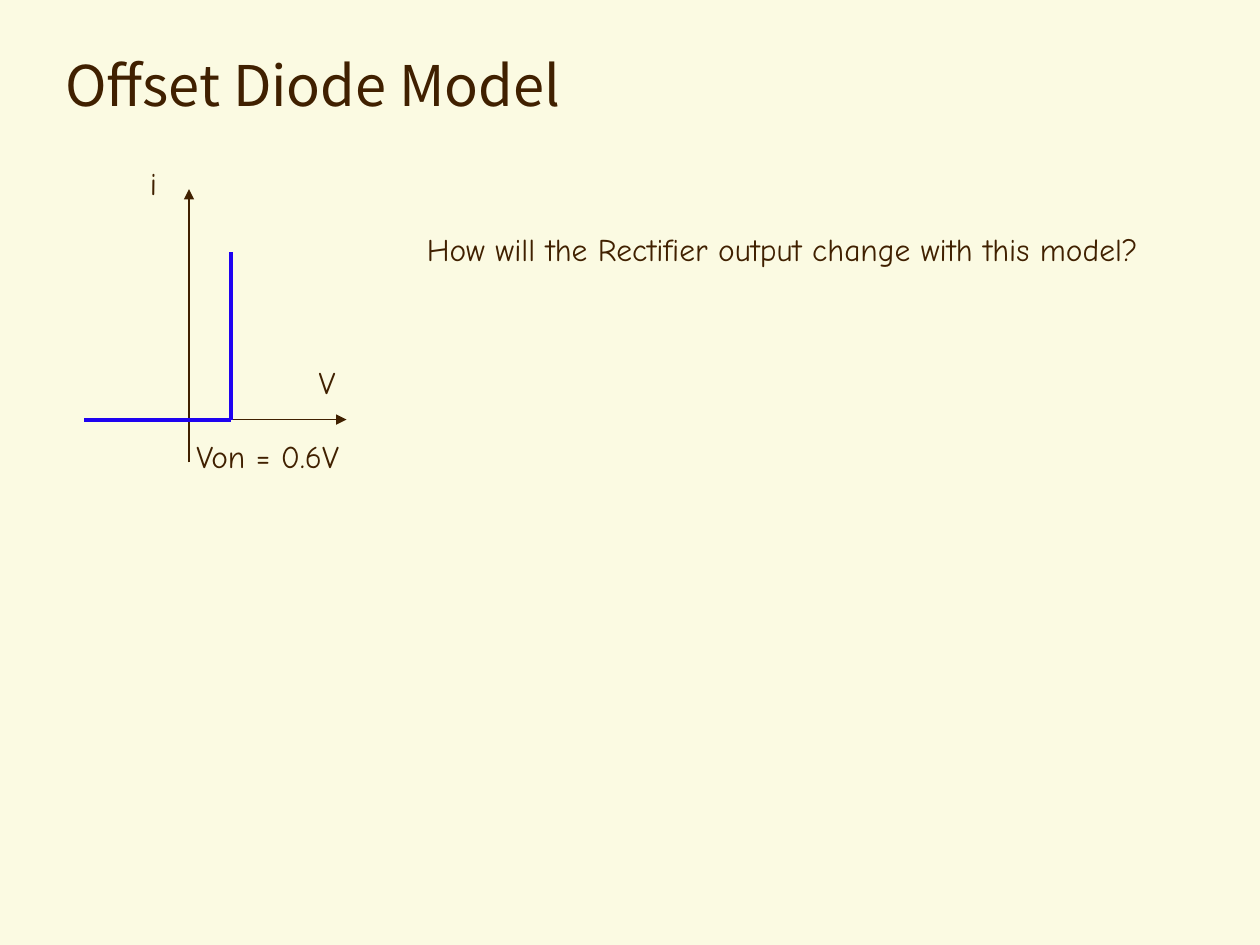
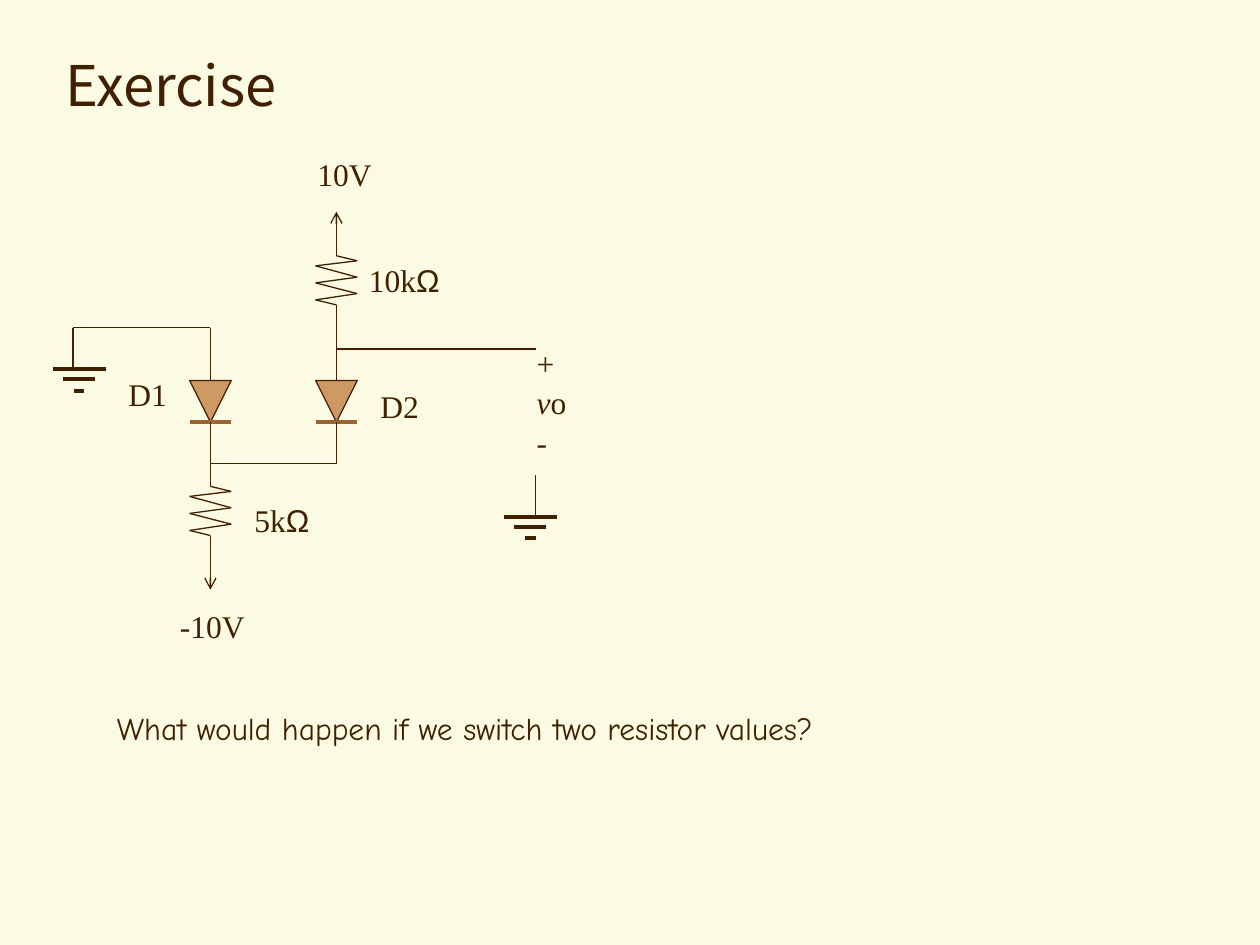
from itertools import pairwise

from lxml.etree import SubElement
from pptx import Presentation
from pptx.dml.color import RGBColor
from pptx.enum.shapes import MSO_CONNECTOR as Connector, MSO_SHAPE as Shape
from pptx.enum.text import MSO_ANCHOR as Anchor, MSO_AUTO_SIZE as AutoSize
from pptx.oxml.ns import qn
from pptx.util import Inches, Pt

color = RGBColor.from_string
CREAM, BROWN, BLUE = "FBFAE2", "402000", "1E02F0"
DIODE_FILL, DIODE_BAR = "CE9964", "996633"
TITLE_FONT, NOTE_FONT = "Noto Sans CJK KR", "Comic Neue"
CIRCUIT_FONT, SYMBOL_FONT = "Times New Roman", "Arial"


def add_text(page, text, left, top, width, height=0.4, font=NOTE_FONT, size=18,
             wrap=True, anchor=Anchor.TOP, italic="", gap=0):
    box = page.shapes.add_textbox(Inches(left), Inches(top), Inches(width), Inches(height))
    frame = box.text_frame
    frame.word_wrap = wrap
    frame.auto_size = AutoSize.NONE if wrap else AutoSize.SHAPE_TO_FIT_TEXT
    frame.vertical_anchor = anchor
    for index, line in enumerate(text.split("\n")):
        para = frame.paragraphs[0] if index == 0 else frame.add_paragraph()
        para.space_before = Pt(gap if index else 0)
        if italic and line.startswith(italic):
            parts = [italic, line.removeprefix(italic)]
        elif line.endswith("Ω"):
            parts = [line.removesuffix("Ω"), "Ω"]
        else:
            parts = [line]
        for part in parts:
            span = para.add_run()
            span.text = part
            span.font.name = SYMBOL_FONT if part == "Ω" else font
            span.font.size = Pt(size)
            span.font.italic = part == italic
            span.font.color.rgb = color(BROWN)


def add_wire(page, points, stroke=BROWN, width=0.75, arrow=None):
    for (x1, y1), (x2, y2) in pairwise(points):
        wire = page.shapes.add_connector(
            Connector.STRAIGHT, Inches(x1), Inches(y1), Inches(x2), Inches(y2))
        wire.line.color.rgb = color(stroke)
        wire.line.width = Pt(width)
        if arrow:
            SubElement(wire.line._get_or_add_ln(), qn("a:tailEnd"), type=arrow)
        SubElement(wire._element.spPr, qn("a:effectLst"))


deck = Presentation()
deck.slide_width, deck.slide_height = Inches(10), Inches(7.5)
pages = []
for title in ("Offset Diode Model", "Exercise"):
    page = deck.slides.add_slide(deck.slide_layouts[6])
    page.background.fill.solid()
    page.background.fill.fore_color.rgb = color(CREAM)
    add_text(page, title, 0.42, 0.25, 9.17, 0.83, font=TITLE_FONT, size=32,
             anchor=Anchor.MIDDLE)
    pages.append(page)
model, exercise = pages

add_wire(model, [(0.67, 3.33), (2.75, 3.33)], arrow="triangle")
add_wire(model, [(1.5, 3.67), (1.5, 1.5)], arrow="triangle")
add_wire(model, [(0.67, 3.33), (1.83, 3.33), (1.83, 2)], stroke=BLUE, width=2.25)
for label, left, top, width in (
    ("V", 2.43, 2.83, 0.33),
    ("i", 1.09, 1.25, 0.25),
    ("Von = 0.6V", 1.46, 3.42, 1.34),
    ("How will the Rectifier output change with this model?", 3.29, 1.78, 5.85),
):
    add_text(model, label, left, top, width, wrap=False)

left_branch, right_branch, output = 1.67, 2.67, 4.25
half = 0.165
diode_top, diode_bottom, joint = 3.02, 3.35, 3.68

for center in (right_branch, left_branch):
    diode = exercise.shapes.add_shape(
        Shape.ISOSCELES_TRIANGLE, Inches(center - half), Inches(diode_top),
        Inches(2 * half), Inches(diode_bottom - diode_top))
    diode.rotation = 180
    diode.shadow.inherit = False
    diode.fill.solid()
    diode.fill.fore_color.rgb = color(DIODE_FILL)
    diode.line.color.rgb = color(BROWN)
    diode.line.width = Pt(0.75)
    add_wire(exercise, [(center + half, diode_bottom), (center - half, diode_bottom)],
             stroke=DIODE_BAR, width=2.25)

zigzag = [(0, 0), (0, 0.18)]
for turn in range(3):
    zigzag += [(half, 0.22 + 0.13 * turn), (-half, 0.26 + 0.135 * turn)]
zigzag += [(0, 0.57), (0, 0.75)]
for center, top in ((right_branch, 1.85), (left_branch, joint)):
    add_wire(exercise, [(center + x, top + y) for x, y in zigzag])

for points in (
    [(0.58, 2.93), (0.58, 2.6), (left_branch, 2.6), (left_branch, diode_top)],
    [(left_branch, diode_bottom), (left_branch, joint), (right_branch, joint),
     (right_branch, diode_bottom)],
    [(right_branch, 2.6), (right_branch, diode_top)],
    [(right_branch, 2.77), (output, 2.77)],
    [(output, 3.77), (output, 4.1)],
):
    add_wire(exercise, points)
add_wire(exercise, [(right_branch, 1.85), (right_branch, 1.68)], arrow="arrow")
add_wire(exercise, [(left_branch, 4.43), (left_branch, 4.68)], arrow="arrow")

for ground_left, ground_top in ((4, 4.1), (0.42, 2.93)):
    for start, end, drop in ((0, 0.42, 0), (0.08, 0.33, 0.08), (0.17, 0.25, 0.17)):
        add_wire(exercise, [(ground_left + start, ground_top + drop),
                            (ground_left + end, ground_top + drop)], width=2.25)

for label, left, top, width in (
    ("D1", 0.92, 2.93, 0.68),
    ("D2", 2.92, 3.02, 0.68),
    ("10kΩ", 2.83, 2.02, 0.88),
    ("10V", 2.42, 1.18, 0.68),
    ("-10V", 1.33, 4.77, 1.17),
    ("5kΩ", 1.92, 3.93, 0.68),
):
    add_text(exercise, label, left, top, width, font=CIRCUIT_FONT)
add_text(exercise, "+\nvo\n-", 4.16, 2.68, 0.68, 1, font=CIRCUIT_FONT, italic="v", gap=1)
add_text(exercise, "What would happen if we switch two resistor values?",
         0.83, 5.58, 5.76, wrap=False)

deck.save("out.pptx")
